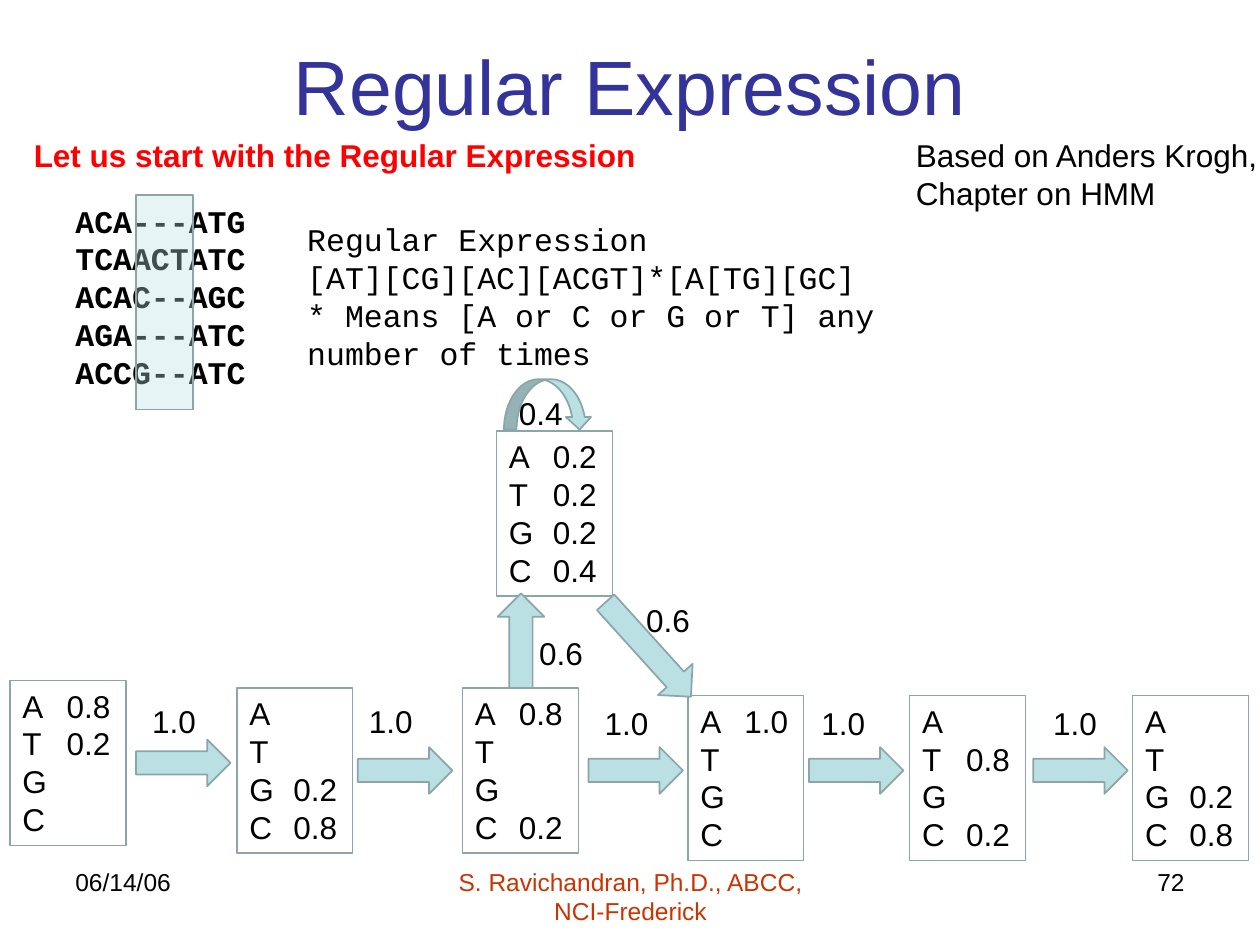
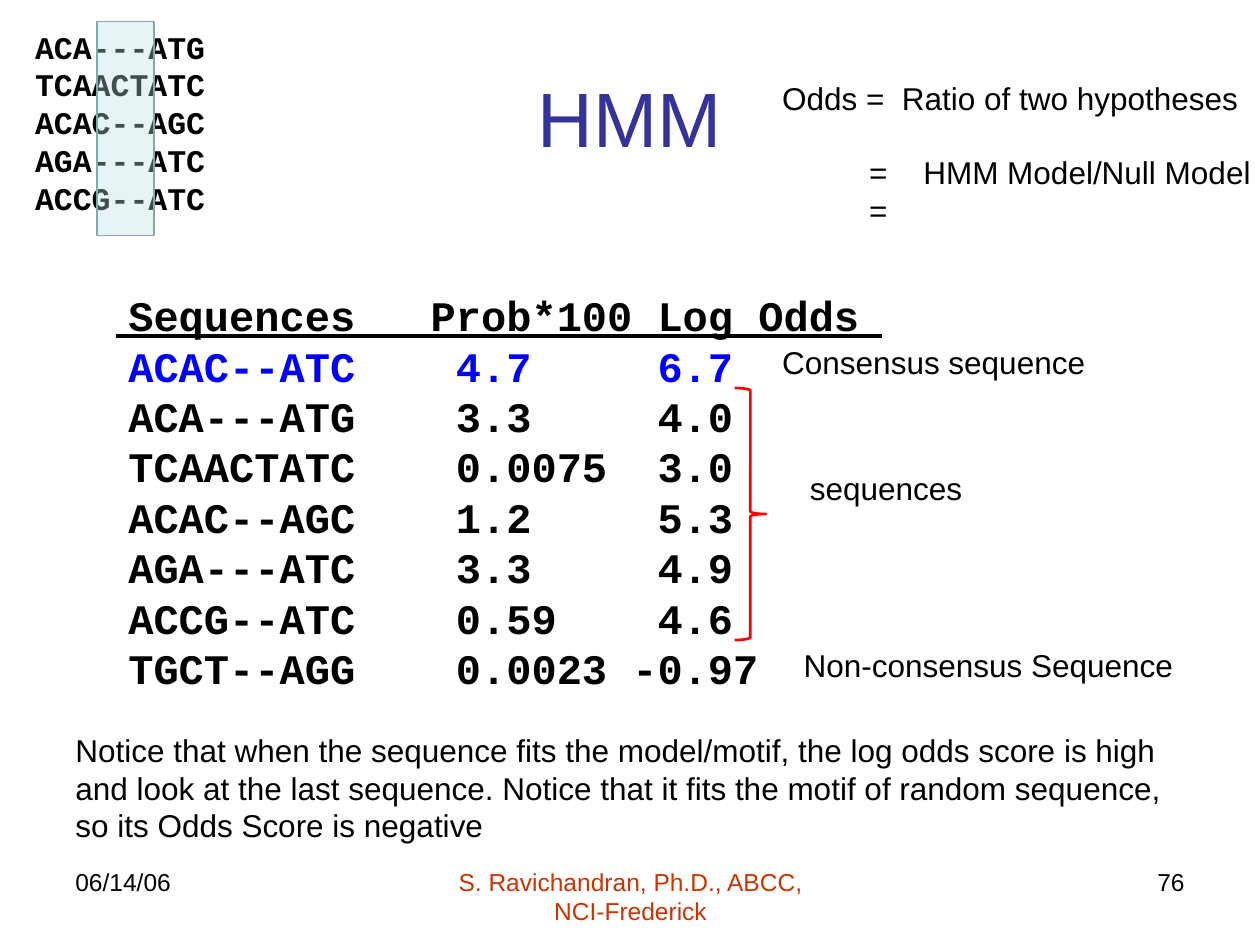
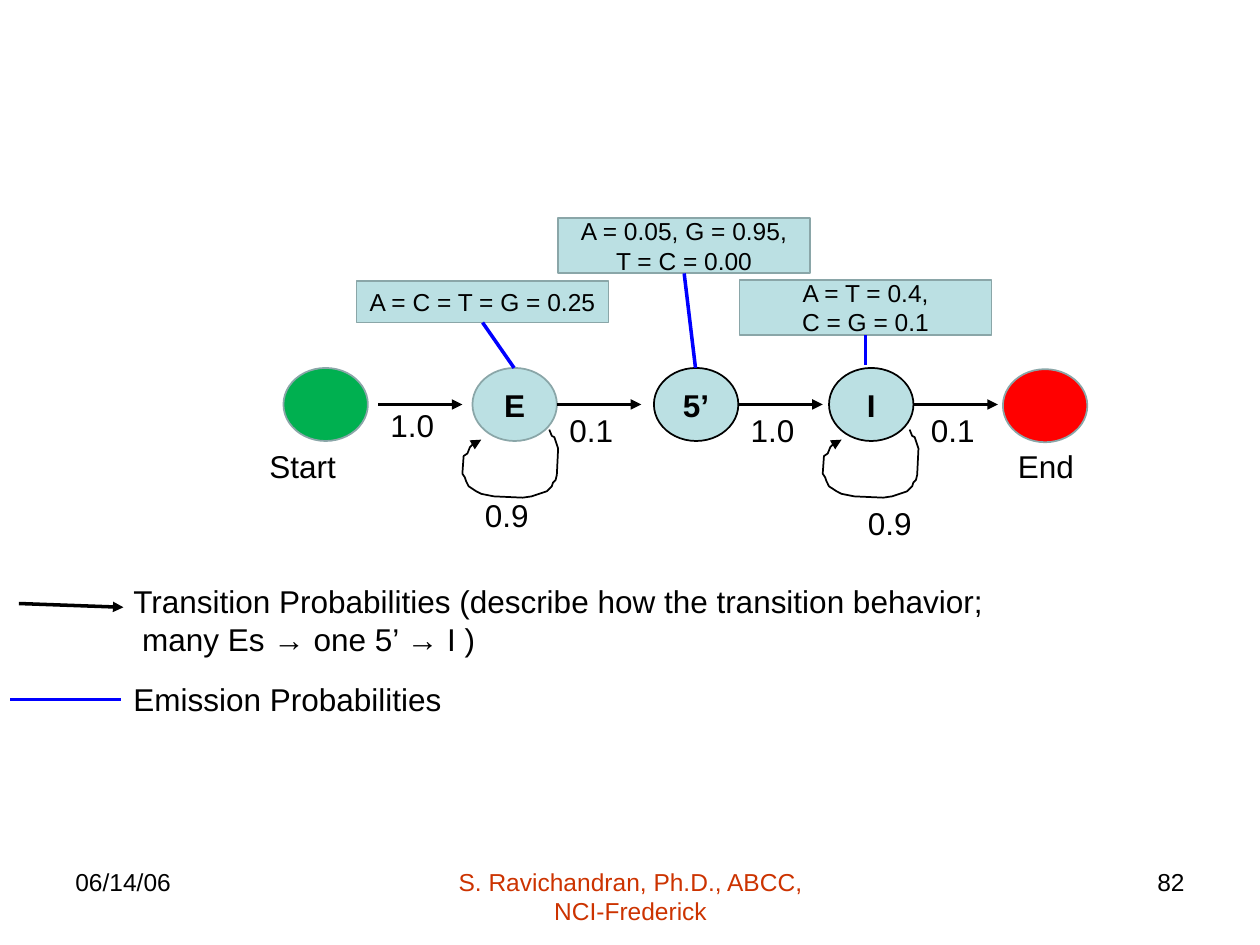
import lxml.etree
import pptx
import pptx.dml.color
import pptx.enum.shapes
import pptx.enum.text
import pptx.oxml.ns
import pptx.util

Inches, Pt = pptx.util.Inches, pptx.util.Pt
qn, sub = pptx.oxml.ns.qn, lxml.etree.SubElement
kinds = pptx.enum.shapes.MSO_SHAPE
straight = pptx.enum.shapes.MSO_CONNECTOR.STRAIGHT
sides = pptx.enum.text.PP_ALIGN
anchors = pptx.enum.text.MSO_ANCHOR
hues = {
    name: pptx.dml.color.RGBColor.from_string(code)
    for name, code in {
        "black": "000000", "navy": "333399", "rust": "CC3300", "red": "FF0000",
        "blue": "0000FF", "green": "00B050", "aqua": "BBE0E3", "edge": "8AA6A8",
    }.items()
}


def write(shape, text, size=18, hue="black", bold=False, face="Arial",
          align=sides.LEFT, anchor=anchors.TOP, tabs=()):
    """Fill a shape with one paragraph per line; tabs are (inches, kind) pairs."""
    frame = shape.text_frame
    frame.word_wrap = True
    frame.vertical_anchor = anchor
    for i, line in enumerate(text.split("\n")):
        para = frame.add_paragraph() if i else frame.paragraphs[0]
        para.text = line
        para.alignment = align
        if tabs:
            stops = sub(para._p.get_or_add_pPr(), qn("a:tabLst"))
            for place, kind in tabs:
                sub(stops, qn("a:tab"), pos=str(Inches(place)), algn=kind)
        para.font.size = Pt(size)
        para.font.name = face
        para.font.bold = bold
        para.font.color.rgb = hues[hue]
    return frame


def draw(slide, kind, x, y, w, h, fill="aqua", edge="edge", width=1):
    """Add a preset shape, or a text box when kind is None."""
    box = [Inches(n) for n in (x, y, w, h)]
    if kind is None:
        return slide.shapes.add_textbox(*box)
    shape = slide.shapes.add_shape(kind, *box)
    shape.shadow.inherit = False
    if fill:
        shape.fill.solid()
        shape.fill.fore_color.rgb = hues[fill]
    else:
        shape.fill.background()
    shape.line.color.rgb = hues[edge]
    shape.line.width = Pt(width)
    return shape


deck = pptx.Presentation()
deck.slide_width, deck.slide_height = Inches(10), Inches(7.5)

# Titles and footers
slides = []
for title, top, page in (("Regular Expression", 0.05, "72"), ("HMM", 0.3, "76"), (None, 0, "82")):
    slide = deck.slides.add_slide(deck.slide_layouts[5 if title else 6])
    slides.append(slide)
    if title:
        head = slide.shapes.title
        head.left, head.top = Inches(0.5), Inches(top)
        head.width, head.height = Inches(9), Inches(1.25)
        write(head, title, 44, "navy", align=sides.CENTER, anchor=anchors.MIDDLE)
    for x, w, text, hue, align in (
        (0.5, 2.33, "06/14/06", "black", sides.LEFT),
        (3.42, 3.17, "S. Ravichandran, Ph.D., ABCC, NCI-Frederick", "rust", sides.CENTER),
        (7.17, 2.33, page, "black", sides.RIGHT),
    ):
        write(draw(slide, None, x, 6.83, w, 0.52), text, 14, hue, align=align)
regex, odds, model = slides

# Aligned sequences with the variable columns tinted
for slide, x, y, shift in ((regex, 0.5, 1.55, 0.58), (odds, 0.18, 0.17, 0.59)):
    write(draw(slide, None, x, y, 1.8, 1.62),
          "ACA---ATG\nTCAACTATC\nACAC--AGC\nAGA---ATC\nACCG--ATC",
          bold=True, face="Courier New")
    tint = draw(slide, kinds.RECTANGLE, x + shift, y, 0.45, 1.7)
    sub(tint.fill._xPr.find(".//" + qn("a:srgbClr")), qn("a:alpha"), val="35000")

# Slide 1: regular expression and its state chain
write(draw(regex, None, 7.17, 1.03, 3.33, 0.71), "Based on Anders Krogh, Chapter on HMM")
write(draw(regex, None, 0.17, 1.03, 5.14, 0.4), "Let us start with the Regular Expression",
      hue="red", bold=True)
write(draw(regex, None, 2.34, 1.7, 5, 1.31),
      "Regular Expression\n[AT][CG][AC][ACGT]*[A[TG][GC]\n"
      "* Means [A or C or G or T] any number of times", face="Courier New")
for x, y, rates in (
    (0.08, 5.4, ("0.8", "0.2", "", "")),
    (1.88, 5.46, ("", "", "0.2", "0.8")),
    (3.67, 5.46, ("0.8", "", "", "0.2")),
    (5.46, 5.52, ("1.0", "", "", "")),
    (7.22, 5.52, ("", "0.8", "", "0.2")),
    (8.99, 5.52, ("", "", "0.2", "0.8")),
    (3.94, 3.42, ("0.2", "0.2", "0.2", "0.4")),
):
    state = draw(regex, kinds.RECTANGLE, x, y, 0.92, 1.31, fill=None, width=0.75)
    rows = [f"{base}\t{rate}" if rate else base for base, rate in zip("ATGC", rates)]
    write(state, "\n".join(rows), tabs=[(0.35, "l")])
for x, y, w, turn in (
    (1.08, 5.87, 0.75, 0), (2.84, 5.93, 0.75, 0), (4.67, 5.93, 0.75, 0),
    (6.42, 5.93, 0.75, 0), (8.2, 5.93, 0.75, 0),
    (3.76, 4.9, 0.75, 270), (4.64, 4.97, 1.01, 47.9),
):
    draw(regex, kinds.RIGHT_ARROW, x, y, w, 0.37).rotation = turn
draw(regex, kinds.CURVED_DOWN_ARROW, 4, 3.01, 0.7, 0.4)
for x, y, rate in (
    (1.11, 5.52, "1.0"), (2.83, 5.52, "1.0"), (4.7, 5.54, "1.0"), (6.42, 5.54, "1.0"),
    (8.26, 5.54, "1.0"), (4.18, 4.98, "0.6"), (5.03, 4.72, "0.6"), (4.02, 3.08, "0.4"),
):
    write(draw(regex, None, x, y, 0.57, 0.41), rate)

# Slide 2: scores of the sequences
for y, h, hue, stops, rows in (
    (2.25, 0.5, "black", [(2.4, "l"), (4.2, "l")], "Sequences\tProb*100\tLog Odds"),
    (2.65, 0.5, "blue", [(2.6, "l"), (4.4, "dec")], "ACAC--ATC\t4.7\t6.7"),
    (3.05, 2.53, "black", [(2.6, "l"), (4.4, "dec")],
     "ACA---ATG\t3.3\t4.0\nTCAACTATC\t0.0075\t3.0\nACAC--AGC\t1.2\t5.3\n"
     "AGA---ATC\t3.3\t4.9\nACCG--ATC\t0.59\t4.6\nTGCT--AGG\t0.0023\t-0.97"),
):
    write(draw(odds, None, 0.92, y, 8.42, h), rows, 24, hue, True, "Courier New", tabs=stops)
draw(odds, kinds.RIGHT_BRACE, 5.83, 3.08, 0.25, 2, None, "red", 1.5)
for x, y, w, h, text in (
    (6.33, 3.67, 1.67, 0.4, "sequences"),
    (6.11, 2.67, 3.22, 0.4, "Consensus sequence"),
    (6.28, 5.08, 3.22, 0.4, "Non-consensus Sequence"),
    (0.5, 5.75, 9, 1.01,
     "Notice that when the sequence fits the model/motif, the log odds score is high "
     "and look at the last sequence. Notice that it fits the motif of random sequence, "
     "so its Odds Score is negative"),
):
    write(draw(odds, None, x, y, w, h), text)
ratio = write(draw(odds, None, 6.11, 0.58, 4.14, 1.31),
              "Odds =\tRatio of two hypotheses\n\t=\tHMM Model/Null Model\n\t=",
              tabs=[(0.69, "l"), (0.95, "l"), (1.12, "l")])
ratio.paragraphs[1].space_before = Pt(20.7)
for para in ratio.paragraphs[1:]:
    stops = para._p.pPr.find(qn("a:tabLst"))
    stops.remove(stops[1])

# Slide 3: state diagram
for x, y, name, fill, edge in (
    (2.25, 2.92, "", "green", "edge"), (3.75, 2.92, "E", "aqua", "edge"),
    (5.19, 2.92, "5’", "aqua", "black"), (6.58, 2.92, "I", "aqua", "black"),
    (7.96, 2.93, "", "red", "edge"),
):
    state = draw(model, kinds.OVAL, x, y, 0.67, 0.58, fill, edge)
    if name:
        write(state, name, bold=True, align=sides.CENTER, anchor=anchors.MIDDLE)
for x, y, w, h, text in (
    (3, 3.17, 0.67, 0.4, "1.0"), (4.42, 3.21, 0.67, 0.4, "0.1"),
    (5.86, 3.21, 0.67, 0.4, "1.0"), (7.29, 3.21, 0.67, 0.4, "0.1"),
    (3.75, 3.89, 0.75, 0.4, "0.9"), (6.79, 3.95, 0.75, 0.4, "0.9"),
    (2.04, 3.5, 0.92, 0.4, "Start"), (7.98, 3.5, 0.92, 0.4, "End"),
    (0.96, 4.57, 8.79, 0.71,
     "Transition Probabilities (describe how the transition behavior;\n many Es → one 5’ → I )"),
    (0.96, 5.35, 3.25, 0.4, "Emission Probabilities"),
):
    write(draw(model, None, x, y, w, h), text)

# Self loops, in hundredths of an inch
curve = [
    (436, 341), (438, 346), (440, 347), (443, 356), (442, 377), (441, 381), (439, 383),
    (438, 386), (434, 390), (428, 392), (422, 394), (415, 395), (392, 394), (382, 392),
    (378, 390), (372, 386), (370, 382), (369, 379), (367, 376), (368, 362), (371, 360),
    (373, 355), (375, 353), (378, 352), (382, 349),
]
for shift in (0, 286):
    points = [(x + shift, y) for x, y in curve]
    pen = model.shapes.build_freeform(*points[0], scale=Inches(0.01))
    pen.add_line_segments(points[1:], close=False)
    loop = pen.convert_to_shape()
    loop.shadow.inherit = False
    loop.fill.background()
    loop.line.color.rgb = hues["black"]
    loop.line.width = Pt(1)
    sub(loop.line._get_or_add_ln(), qn("a:tailEnd"), type="triangle")

# Lines: slide, from, to, colour, width, arrowhead, joined box
lines = [
    (odds, 0.92, 2.67, 7, 2.67, "black", 2.25, False, None),
    (model, 0.15, 4.79, 0.98, 4.82, "black", 2, True, None),
    (model, 0.08, 5.55, 0.96, 5.55, "blue", 2, False, None),
]
for x in (3, 4.42, 5.86, 7.25):
    lines.append((model, x, 3.21, x + 0.67, 3.21, "black", 0, True, None))
for x, y, h, text, end, foot in (
    (2.83, 2.23, 0.33, "A = C = T = G = 0.25", 4.08, 2.92),
    (4.43, 1.73, 0.44, "A = 0.05, G = 0.95,\nT = C = 0.00", 5.52, 2.92),
    (5.87, 2.22, 0.44, "A = T = 0.4,\nC = G = 0.1", 6.87, 2.9),
):
    note = draw(model, kinds.RECTANGLE, x, y, 2, h)
    write(note, text, 14, align=sides.CENTER, anchor=anchors.MIDDLE)
    lines.append((model, x + 1, y + h, end, foot, "blue", 2, False, note))
for slide, x, y, end, foot, hue, width, arrow, note in lines:
    line = slide.shapes.add_connector(straight, *[Inches(n) for n in (x, y, end, foot)])
    line.line.color.rgb = hues[hue]
    line.line.width = Pt(width)
    if arrow:
        sub(line.line._get_or_add_ln(), qn("a:tailEnd"), type="triangle")
    sub(line._element.spPr, qn("a:effectLst"))
    if note:
        line.begin_connect(note, 2)

deck.save("out.pptx")
